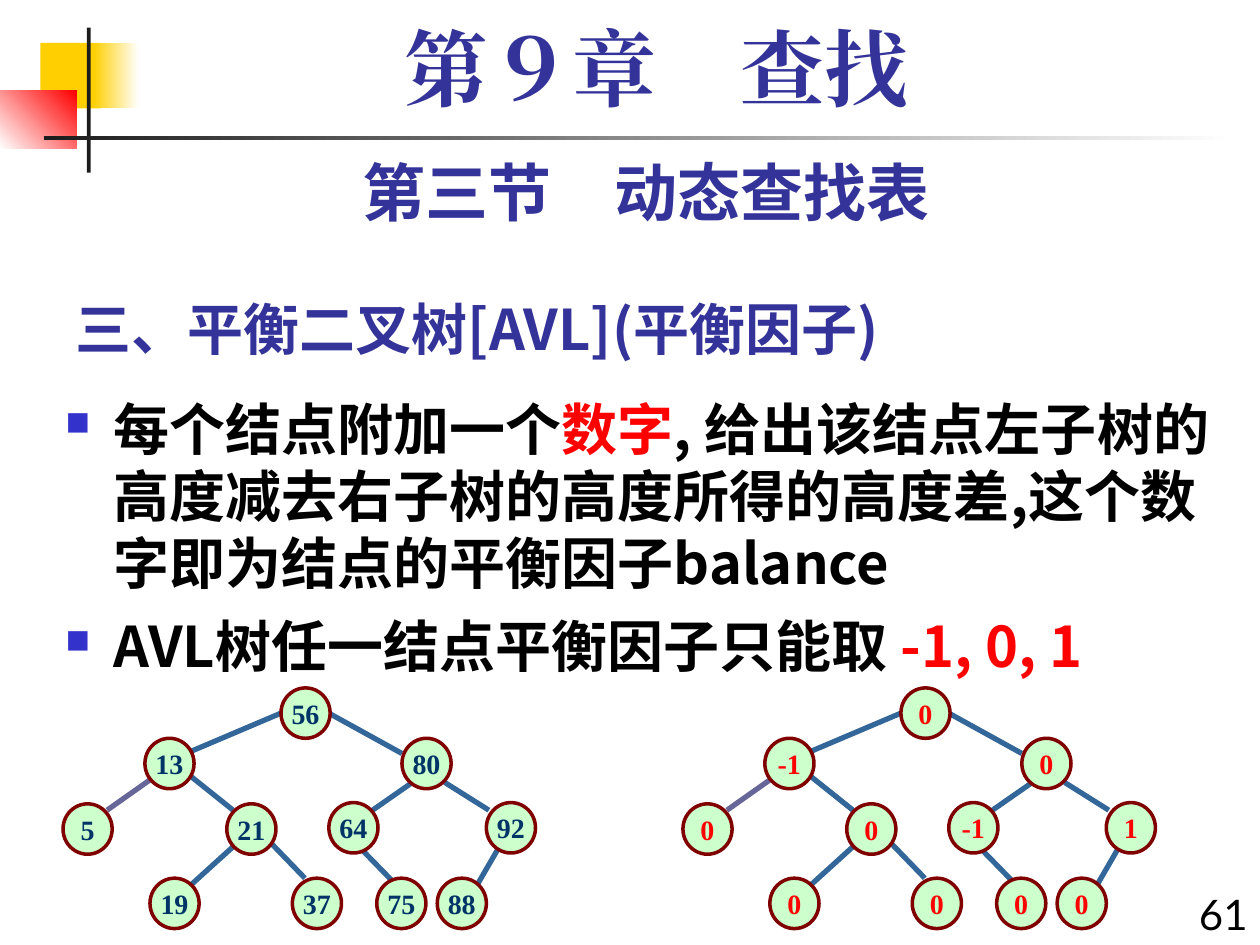
import pptx
import pptx.util
import pptx.dml.color
import pptx.enum.shapes
import pptx.enum.text
import pptx.oxml.ns
import lxml.etree
from dataclasses import dataclass

Inches, Pt = pptx.util.Inches, pptx.util.Pt
Align = pptx.enum.text.PP_ALIGN
Anchor = pptx.enum.text.MSO_ANCHOR
Kind = pptx.enum.shapes.MSO_SHAPE
qn = pptx.oxml.ns.qn


@dataclass(frozen=True)
class Theme:
    head: str = "333399"
    ink: str = "000000"
    red: str = "FF0000"
    gold: str = "FFCF01"
    white: str = "FFFFFF"
    dark: str = "1C1C1C"
    dot: str = "3333CC"
    node: str = "CCFFCC"
    rim: str = "800000"
    key: str = "003366"
    edge: str = "336699"
    pale: str = "666699"
    sans: str = "Noto Sans CJK SC"
    plain: str = "Lato"
    serif: str = "Times New Roman"
    large: int = 48
    mid: int = 36
    main: int = 32
    page: int = 24
    small: int = 16


T = Theme()

DECOR = [
    ((0.32, 0.34, 0.48, 0.52), (T.gold,), 0),
    ((0.74, 0.34, 0.36, 0.52), (T.gold, T.white), 0),
    ((0, 0.72, 0.61, 0.46), (T.white, T.red), 45),
    ((0.69, 0.22, 0.03, 1.15), (T.dark,), 0),
    ((0.35, 1.08, 9.45, 0.03), (T.dark, T.white), 0),
]

HEADS = [
    ((0.5, 2.17, 6.83, 0.75), "三、平衡二叉树[AVL](平衡因子)",
     T.sans, T.main, T.head, True, Align.LEFT, Anchor.BOTTOM, 1),
    ((9.33, 7, 0.67, 0.5), "61",
     T.plain, T.page, T.ink, False, Align.RIGHT, Anchor.TOP, 1),
    ((0.5, 1.17, 9.25, 0.7), "第三节\u3000动态查找表",
     T.plain, T.mid, T.head, True, Align.CENTER, Anchor.TOP, 1),
    ((0.67, 0.17, 9.08, 0.83), "第９章\u3000查找",
     T.serif, T.large, T.head, True, Align.CENTER, Anchor.TOP, 0.9),
]

BODY = (0.42, 3.08, 9.58, 4.42)
POINTS = [
    [("每个结点附加一个", T.ink), ("数字", T.red),
     (", 给出该结点左子树的高度减去右子树的高度所得的高度差,"
      "这个数字即为结点的平衡因子balance", T.ink)],
    [("AVL树任一结点平衡因子只能取 ", T.ink), ("-1, 0, 1", T.red)],
]

NODES = [
    (2.23, 5.46, "56", "0"),
    (1.15, 5.86, "13", "-1"), (3.19, 5.86, "80", "0"),
    (0.5, 6.38, "5", "0"), (1.8, 6.38, "21", "0"),
    (2.61, 6.37, "64", "-1"), (3.86, 6.37, "92", "1"),
    (1.19, 6.97, "19", "0"), (2.32, 6.97, "37", "0"),
    (2.99, 6.97, "75", "0"), (3.47, 6.97, "88", "0"),
]
EDGES = [
    (2.23, 5.66, 1.5, 5.97, T.edge), (2.61, 5.66, 3.19, 5.98, T.edge),
    (1.19, 6.19, 0.85, 6.43, T.pale), (1.5, 6.15, 1.85, 6.43, T.edge),
    (3.33, 6.17, 2.9, 6.47, T.edge), (3.53, 6.21, 3.88, 6.43, T.edge),
    (1.85, 6.72, 1.42, 7.11, T.edge), (2.13, 6.67, 2.42, 6.97, T.edge),
    (2.8, 6.67, 3.19, 7.07, T.edge), (4.05, 6.57, 3.76, 7.07, T.edge),
]
TREES = [(0, 2, T.key), (4.92, 3, T.red)]
NODE = (0.39, 0.4)


def rgb(code):
    return pptx.dml.color.RGBColor.from_string(code)


def inch(vals):
    return [Inches(v) for v in vals]


def style(para, name, size, color, bold):
    font = para.font
    font.name, font.size, font.bold = name, Pt(size), bold
    font.color.rgb = rgb(color)
    east = T.sans if name == T.plain else name
    lxml.etree.SubElement(font._element, qn("a:ea"), typeface=east)


def paint(shape, tones, angle):
    shape.shadow.inherit = False
    shape.line.fill.background()
    if len(tones) == 1:
        shape.fill.solid()
        shape.fill.fore_color.rgb = rgb(tones[0])
        return
    shape.fill.gradient()
    shape.fill.gradient_angle = angle
    for stop, tone, pos in zip(shape.fill.gradient_stops, tones, (0, 1)):
        stop.color.rgb = rgb(tone)
        stop.position = pos


def frame(slide, box, anchor):
    text = slide.shapes.add_textbox(*inch(box)).text_frame
    text.word_wrap = True
    text.vertical_anchor = anchor
    return text


def bullet(para):
    props = para._p.get_or_add_pPr()
    props.set("marL", str(Inches(0.38)))
    props.set("indent", str(-Inches(0.38)))
    tint = lxml.etree.SubElement(props, qn("a:buClr"))
    lxml.etree.SubElement(tint, qn("a:srgbClr"), val=T.dot)
    lxml.etree.SubElement(props, qn("a:buSzPct"), val="60000")
    lxml.etree.SubElement(props, qn("a:buChar"), char="■")


def body(slide):
    text = frame(slide, BODY, Anchor.TOP)
    for i, runs in enumerate(POINTS):
        para = text.add_paragraph() if i else text.paragraphs[0]
        bullet(para)
        if i:
            para.space_before = Pt(9)
        style(para, T.sans, T.main, T.ink, True)
        for words, color in runs:
            run = para.add_run()
            run.text = words
            run.font.color.rgb = rgb(color)


def tree(slide, shift, field, color):
    group = slide.shapes.add_group_shape().shapes
    for x, y, to_x, to_y, tone in EDGES:
        line = group.add_connector(
            pptx.enum.shapes.MSO_CONNECTOR.STRAIGHT,
            *inch((x + shift, y, to_x + shift, to_y)))
        line.line.color.rgb = rgb(tone)
        line.line.width = Pt(3)
        lxml.etree.SubElement(line._element.spPr, qn("a:effectLst"))
    for node in NODES:
        disc = group.add_shape(
            Kind.OVAL, *inch((node[0] + shift, node[1], *NODE)))
        paint(disc, (T.node,), 0)
        disc.line.color.rgb = rgb(T.rim)
        disc.line.width = Pt(2)
        text = disc.text_frame
        text.word_wrap = False
        text.vertical_anchor = Anchor.MIDDLE
        para = text.paragraphs[0]
        para.text = node[field]
        para.alignment = Align.CENTER
        style(para, T.serif, T.small, color, True)


def main():
    deck = pptx.Presentation()
    deck.slide_width, deck.slide_height = inch((10, 7.5))
    slide = deck.slides.add_slide(deck.slide_layouts[6])
    for box, tones, angle in DECOR:
        paint(slide.shapes.add_shape(Kind.RECTANGLE, *inch(box)), tones, angle)
    for box, words, name, size, color, bold, align, anchor, lead in HEADS:
        para = frame(slide, box, anchor).paragraphs[0]
        para.text = words
        para.alignment = align
        para.line_spacing = float(lead)
        style(para, name, size, color, bold)
    body(slide)
    for part in TREES:
        tree(slide, *part)
    deck.save("out.pptx")


if __name__ == "__main__":
    main()
